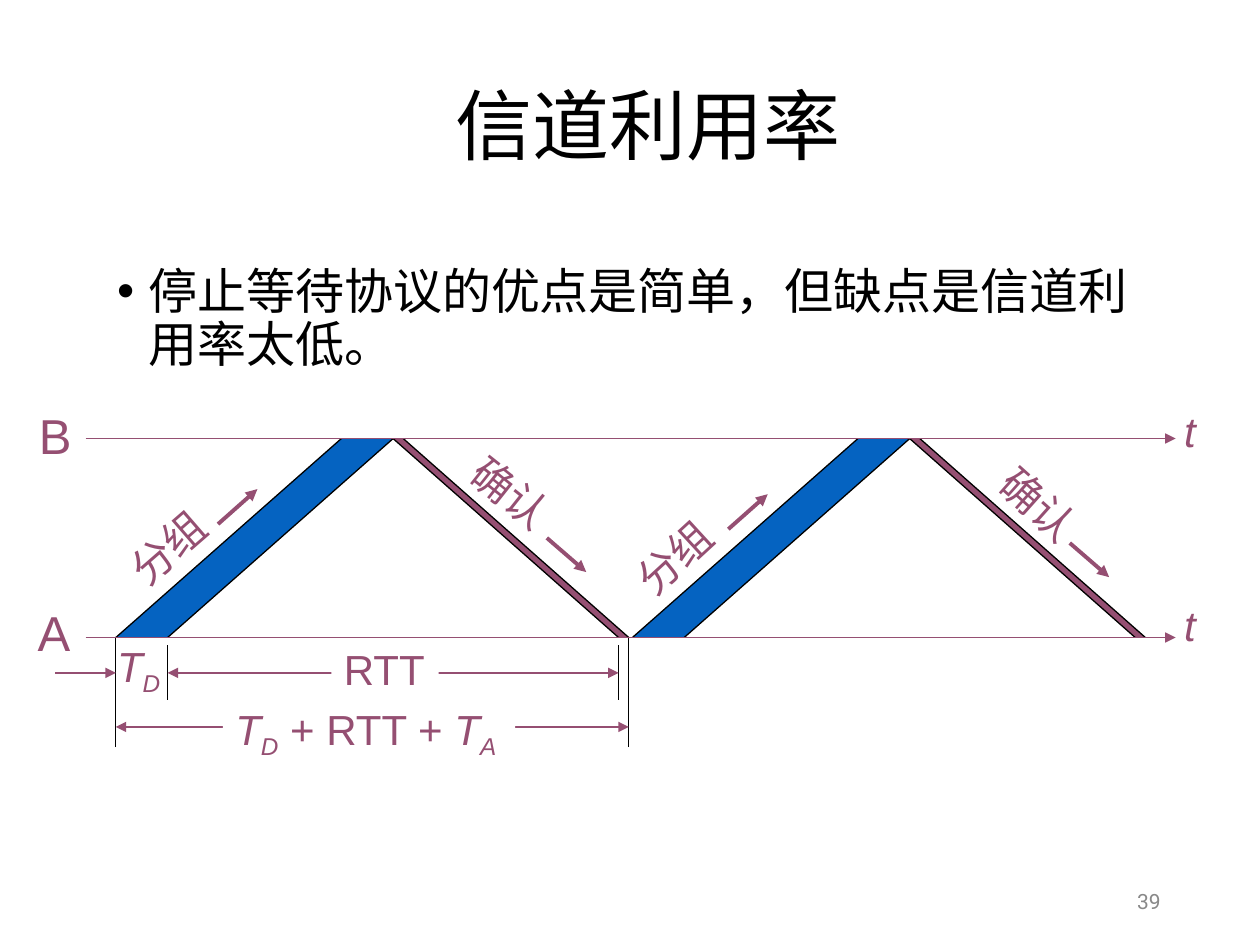
from lxml import etree
from pptx import Presentation
from pptx.dml.color import RGBColor
from pptx.enum.shapes import MSO_CONNECTOR
from pptx.enum.text import MSO_ANCHOR, MSO_AUTO_SIZE, PP_ALIGN
from pptx.oxml.ns import qn
from pptx.util import Pt

STRAIGHT = MSO_CONNECTOR.STRAIGHT
TOP, MIDDLE = MSO_ANCHOR.TOP, MSO_ANCHOR.MIDDLE
LEFT, CENTER, RIGHT = PP_ALIGN.LEFT, PP_ALIGN.CENTER, PP_ALIGN.RIGHT
FIT, FIXED = MSO_AUTO_SIZE.SHAPE_TO_FIT_TEXT, MSO_AUTO_SIZE.NONE
PURPLE, BLUE, BLACK, WHITE, GRAY = "954F72", "0563C1", "000000", "FFFFFF", "898989"
color_of = RGBColor.from_string

presentation = Presentation()
presentation.slide_width, presentation.slide_height = Pt(720), Pt(540)
slide = presentation.slides.add_slide(presentation.slide_layouts[5])
shapes = slide.shapes


def write_text(text, left, top, width, height, shape=None, size=24, font="Arial",
               color=PURPLE, align=LEFT, anchor=TOP, wrap=False, spacing=None,
               bullet=None, rotation=0, fill=None):
    shape = shape or shapes.add_textbox(0, 0, 0, 0)
    shape.left, shape.top, shape.width, shape.height = Pt(left), Pt(top), Pt(width), Pt(height)
    shape.rotation = rotation
    if fill:
        shape.fill.solid()
        shape.fill.fore_color.rgb = color_of(fill)
    frame = shape.text_frame
    frame.word_wrap = wrap
    frame.auto_size = FIXED if wrap else FIT
    frame.vertical_anchor = anchor
    paragraph = frame.paragraphs[0]
    paragraph.alignment = align
    if spacing:
        paragraph.line_spacing = spacing
    if bullet:
        properties = paragraph._p.get_or_add_pPr()
        properties.set("marL", str(Pt(18)))
        properties.set("indent", str(Pt(-18)))
        bullet_font = etree.SubElement(properties, qn("a:buFont"))
        bullet_font.set("typeface", "Arial")
        etree.SubElement(properties, qn("a:buChar")).set("char", bullet)
    runs = [(text, "plain")] if isinstance(text, str) else text
    for content, style in runs:
        run = paragraph.add_run()
        run.text = content
        run.font.size, run.font.name = Pt(size), font
        run.font.color.rgb = color_of(color)
        run.font.italic = style != "plain"
        if style == "subscript":
            run._r.get_or_add_rPr().set("baseline", "-25000")


def add_line(x1, y1, x2, y2, color=PURPLE, width=0.75, arrows=()):
    line = shapes.add_connector(STRAIGHT, Pt(x1), Pt(y1), Pt(x2), Pt(y2))
    line.line.color.rgb = color_of(color)
    line.line.width = Pt(width)
    outline = line.line._get_or_add_ln()
    for end in arrows:
        etree.SubElement(outline, qn(f"a:{end}")).set("type", "triangle")
    etree.SubElement(line._element.spPr, qn("a:effectLst"))


write_text("信道利用率 ", 90.7, 16.6, 569.5, 115.2, shape=shapes.title, size=44,
           font="Calibri", color=BLACK, align=CENTER, anchor=MIDDLE, wrap=True, spacing=0.9)
write_text("停止等待协议的优点是简单，但缺点是信道利用率太低。", 59.8, 149, 612, 96.5,
           size=28, font="Calibri", color=BLACK, wrap=True, spacing=0.9, bullet="•")

b_axis, a_axis = 250.6, 364.3
send_start, send_end, ack_start, ack_end = 66.2, 95.8, 353.5, 359.3
travel, period = 128.9, 295.2

for x in (send_start, ack_end):
    add_line(x, 427, x, a_axis, color=BLACK)
for x in (send_end, ack_start):
    add_line(x, 368.6, x, 400.3, color=BLACK)
add_line(31.7, 384.5, send_start, 384.5, arrows=["tailEnd"])
for x1, x2, y in ((send_end, ack_start, 384.5), (send_start, ack_end, 415.4)):
    add_line(x1, y, x2, y, arrows=["headEnd", "tailEnd"])

delay_label = [("T", "italic"), ("D", "subscript")]
cycle_label = delay_label + [(" + RTT + ", "plain"), ("T", "italic"), ("A", "subscript")]
write_text(delay_label, 59.8, 362.2, 40.3, 36)
write_text("RTT", 189.4, 364.3, 61.2, 36, fill=WHITE)
write_text(cycle_label, 127.4, 398.2, 167, 36, fill=WHITE)

for shift in (0, period):
    for start, end, direction, y1, y2, color in (
            (send_start, send_end, 1, a_axis, b_axis, BLUE),
            (ack_start, ack_end, -1, a_axis, b_axis, PURPLE)):
        x1, x2 = start + shift, end + shift
        slant = direction * travel
        builder = shapes.build_freeform(Pt(x1), Pt(y1))
        builder.add_line_segments([(Pt(x1 + slant), Pt(y2)), (Pt(x2 + slant), Pt(y2)),
                                   (Pt(x2), Pt(y1))])
        band = builder.convert_to_shape()
        band.shadow.inherit = False
        band.fill.solid()
        band.fill.fore_color.rgb = color_of(color)
        band.line.fill.background()
        for x in (x1, x2):
            add_line(x, y1, x + slant, y2, color=BLACK)

for label, left, top, rotation, arrow_x, arrow_y, rise in (
        ("分组", 64.8, 294.5, 318.9, 124.6, 299.5, -20),
        ("确认", 260.6, 263.5, 38.5, 312.5, 307.4, 19.5),
        ("分组", 354.2, 300.2, 317.4, 416.2, 302.4, -20),
        ("确认", 562.3, 270, 41.8, 611.3, 310.3, 19.5)):
    write_text(label, left, top, 62.6, 36, rotation=rotation)
    add_line(arrow_x, arrow_y, arrow_x + 22.5, arrow_y + rise, width=2.25, arrows=["tailEnd"])

for name, left, top, time_top, y in (("B", 15.1, 228.2, 228.2, b_axis),
                                     ("A", 14.4, 340.6, 339.1, a_axis)):
    write_text(name, left, top, 33.1, 41, size=28)
    write_text([("t", "italic")], 669.6, time_top, 20.9, 36)
    add_line(49, y, 671.8, y, arrows=["tailEnd"])

write_text("39", 508.3, 500.4, 162, 28.8, size=12, font="Roboto", color=GRAY,
           align=RIGHT, anchor=MIDDLE, wrap=True)

presentation.save("out.pptx")
